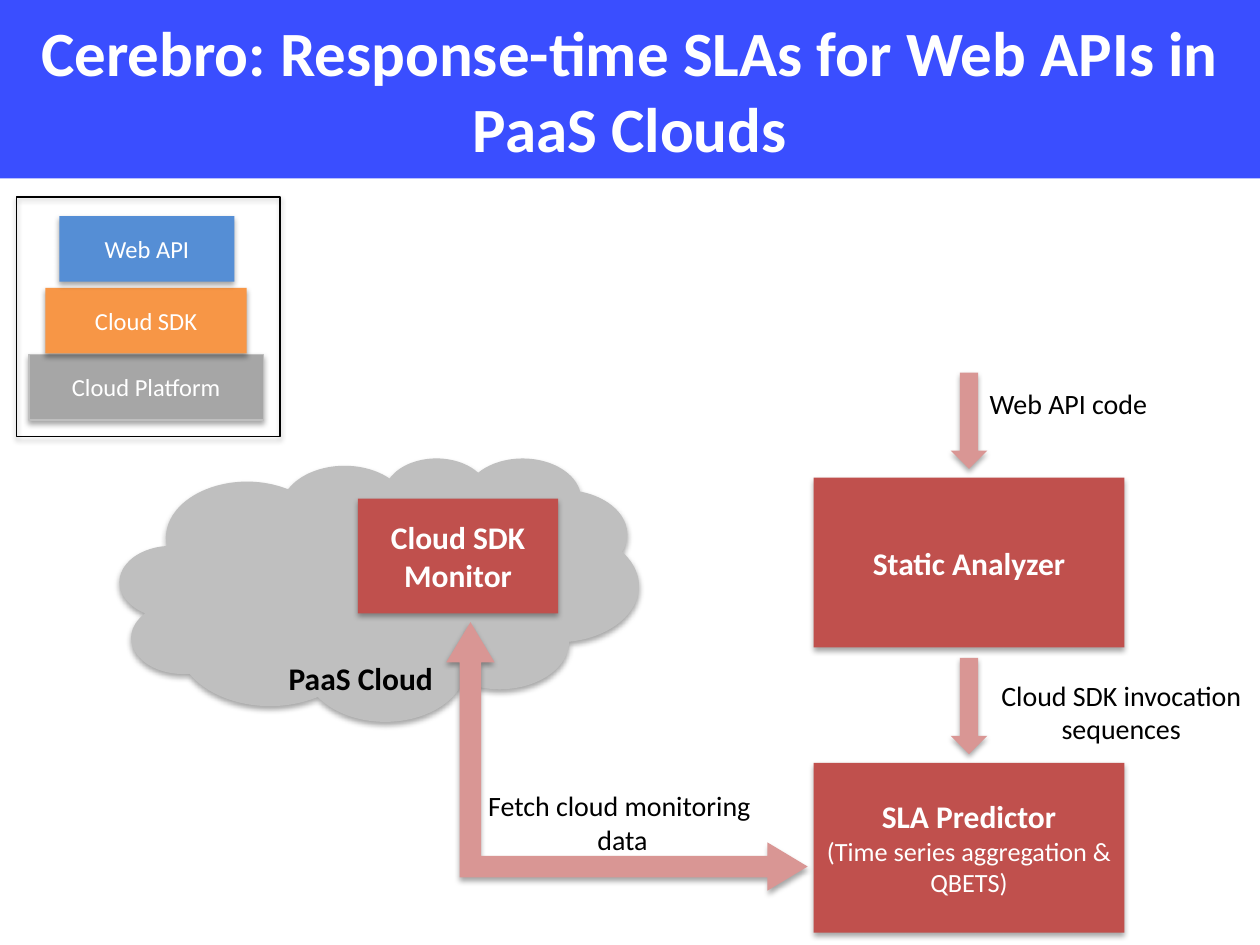
from dataclasses import dataclass

from pptx import Presentation
from pptx.dml.color import RGBColor as RGB
from pptx.enum.shapes import MSO_SHAPE as Shape
from pptx.enum.text import MSO_ANCHOR as Anchor, PP_ALIGN as Align
from pptx.util import Pt


@dataclass(frozen=True)
class Theme:
    """Colours, font and type sizes of the slide."""
    font: str = "Calibri"
    white: str = "FFFFFF"
    black: str = "000000"
    band: str = "3A4EFF"
    cloud: str = "BFBFBF"
    block: str = "C0504D"
    arrow: str = "D99694"
    api: str = "558ED5"
    sdk: str = "F79646"
    base: str = "A6A6A6"
    title: float = 36
    head: float = 18
    label: float = 16
    sub: float = 15
    key: float = 14


THEME = Theme()


def write(frame, text, size, color, bold=False):
    """Fill a text frame with centred text, one paragraph a line."""
    frame.text = text
    for para in frame.paragraphs:
        para.alignment = Align.CENTER
        for run in para.runs:
            font = run.font
            font.name, font.size, font.bold = THEME.font, Pt(size), bold
            font.color.rgb = RGB.from_string(color)


def add_form(slide, kind, box, fill=None, line=None):
    """Add a preset shape with the theme shadow in the given box."""
    form = slide.shapes.add_shape(kind, *map(Pt, box))
    if fill:
        form.fill.solid()
        form.fill.fore_color.rgb = RGB.from_string(fill)
    else:
        form.fill.background()
    if line:
        form.line.color.rgb = RGB.from_string(line)
        form.line.width = Pt(0.75)
    else:
        form.line.fill.background()
    return form


def add_block(slide, box, text):
    """Add a red component with a bold name and return its text frame."""
    frame = add_form(slide, Shape.RECTANGLE, box, THEME.block).text_frame
    write(frame, text, THEME.head, THEME.white, True)
    return frame


def add_label(slide, box, text, wrap=False):
    """Add a plain caption."""
    frame = slide.shapes.add_textbox(*map(Pt, box)).text_frame
    frame.word_wrap = wrap
    write(frame, text, THEME.label, THEME.black)


def add_title(slide, box):
    """Add the title band."""
    band = add_form(slide, Shape.RECTANGLE, box, THEME.band)
    band.shadow.inherit = False
    write(band.text_frame, "Cerebro: Response-time SLAs for Web APIs in PaaS Clouds",
          THEME.title, THEME.white, True)


def add_cloud(slide, box):
    """Add the cloud with its name low down and the monitor inside."""
    left, top, _, _ = box
    frame = add_form(slide, Shape.CLOUD, box, THEME.cloud).text_frame
    frame.vertical_anchor = Anchor.BOTTOM
    frame.margin_bottom = Pt(-16)
    write(frame, "PaaS Cloud", THEME.head, THEME.black, True)
    add_block(slide, (left + 136, top + 23.5, 114.5, 65.5), "Cloud SDK Monitor")


def add_flow(slide, box):
    """Add the column of two components, each below its input arrow."""
    left, top, width, height = box
    tall, wide, lead, gap = 97, 21, 60, 6
    step = height - tall - lead
    names = "Static Analyzer", "SLA Predictor\n(Time series aggregation & QBETS)"
    for row, name in enumerate(names):
        y = top + row * step
        add_form(slide, Shape.DOWN_ARROW,
                 (left + (width - wide) / 2, y, wide, lead - gap + 1), THEME.arrow)
        frame = add_block(slide, (left, y + lead, width, tall), name)
        for para in frame.paragraphs[1:]:
            para.runs[0].font.size = Pt(THEME.sub)
            para.runs[0].font.bold = False
    add_label(slide, (left + 86.5, top + 4.5, 118, 26.5), "Web API code", True)
    add_label(slide, (left + 96.5, top + step + 8, 158.5, 40),
              "Cloud SDK invocation\nsequences")


def add_fetch(slide, box):
    """Add the elbow arrow, turned a quarter inside its box, and its label."""
    left, top, width, height = box
    add_label(slide, (left + 15, top + 91.5, 171.5, 40), "Fetch cloud monitoring \ndata")
    shift = (width - height) / 2
    elbow = add_form(slide, Shape.LEFT_UP_ARROW,
                     (left + shift, top - shift, height, width), THEME.arrow)
    elbow.rotation = 90
    for at, value in enumerate((0.08, 0.09, 0.15)):
        elbow.adjustments[at] = value


def add_stack(slide, box):
    """Add the framed stack of layers, drawn from the base up."""
    left, top, _, _ = box
    layers = (("Cloud Platform", 7, 90, 134, THEME.base, THEME.cloud),
              ("Cloud SDK", 16.5, 52, 115, THEME.sdk, None),
              ("Web API", 24.5, 11, 100, THEME.api, None))
    for name, dx, dy, width, fill, line in layers:
        form = add_form(slide, Shape.RECTANGLE,
                        (left + dx, top + dy, width, 37.5), fill, line)
        write(form.text_frame, name, THEME.key, THEME.white)
    add_form(slide, Shape.RECTANGLE, box, line=THEME.black)


def main():
    """Build and save the slide."""
    deck = Presentation()
    deck.slide_width, deck.slide_height = Pt(720), Pt(540)
    slide = deck.slides.add_slide(deck.slide_layouts[6])
    add_title(slide, (0, 0, 720, 102))
    add_cloud(slide, (68.5, 261.5, 296.5, 150.5))
    add_flow(slide, (465, 213, 177.5, 320))
    add_fetch(slide, (255, 355.5, 206.5, 153.5))
    add_stack(slide, (9.5, 112.5, 150.5, 137))
    deck.save("out.pptx")


if __name__ == "__main__":
    main()
